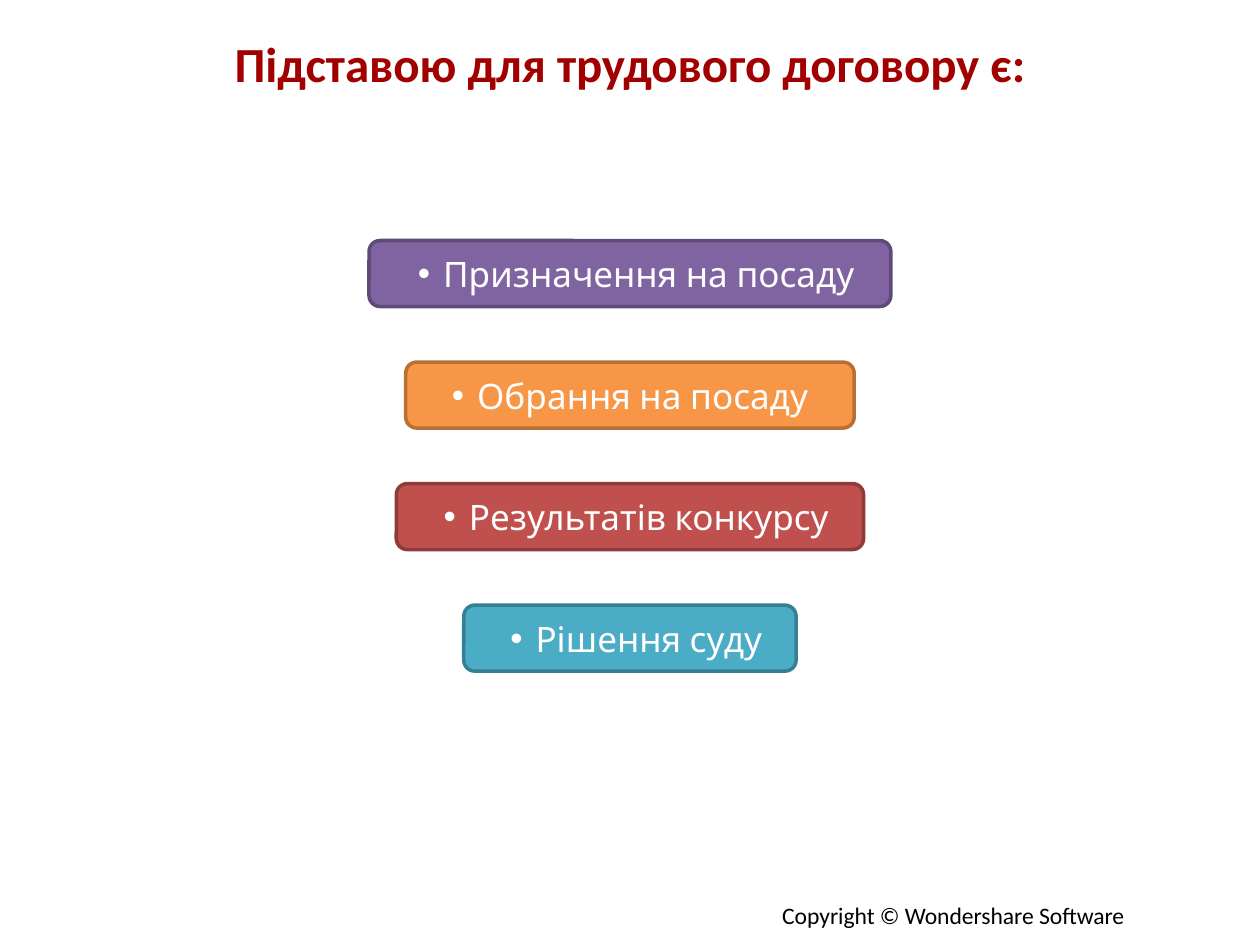
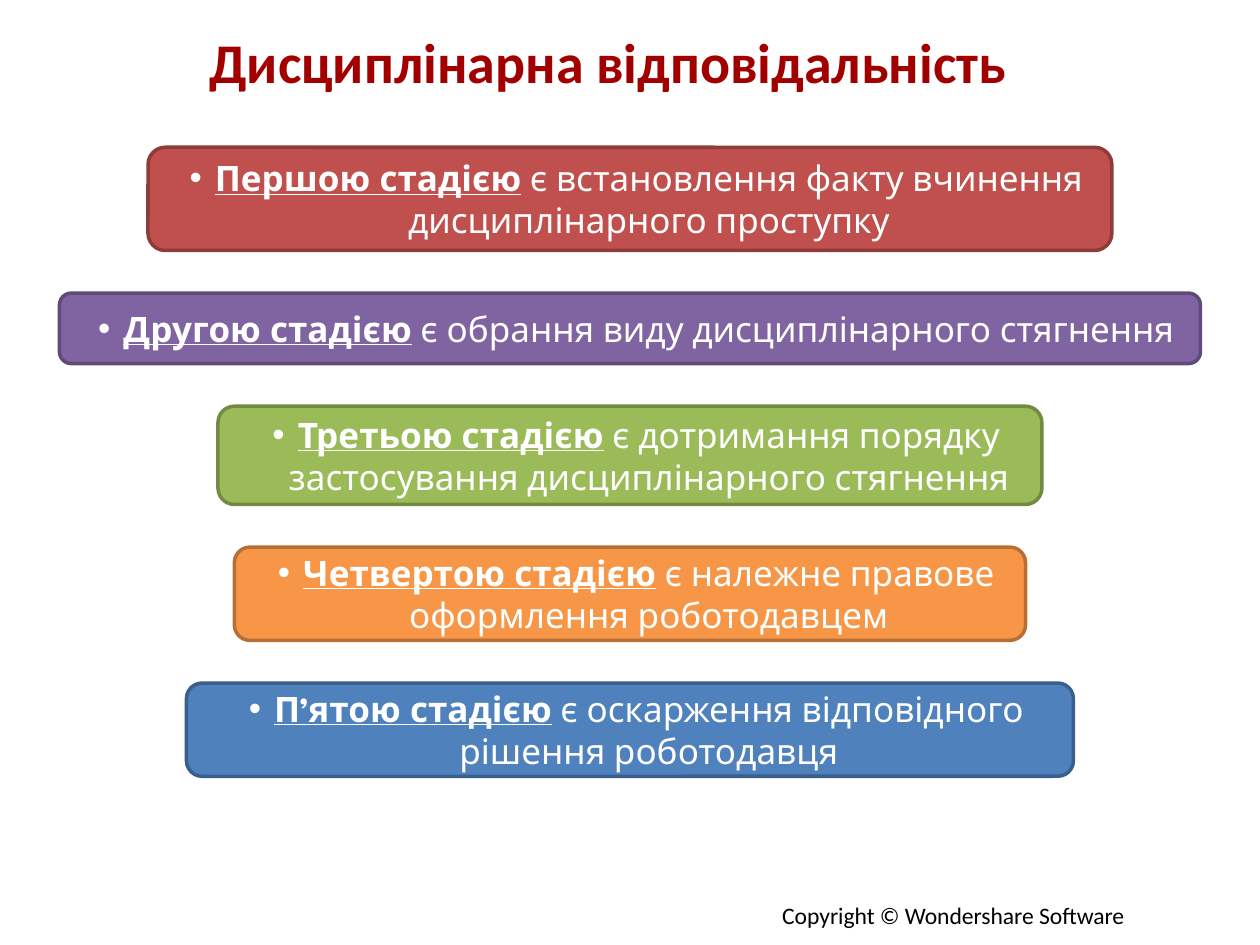
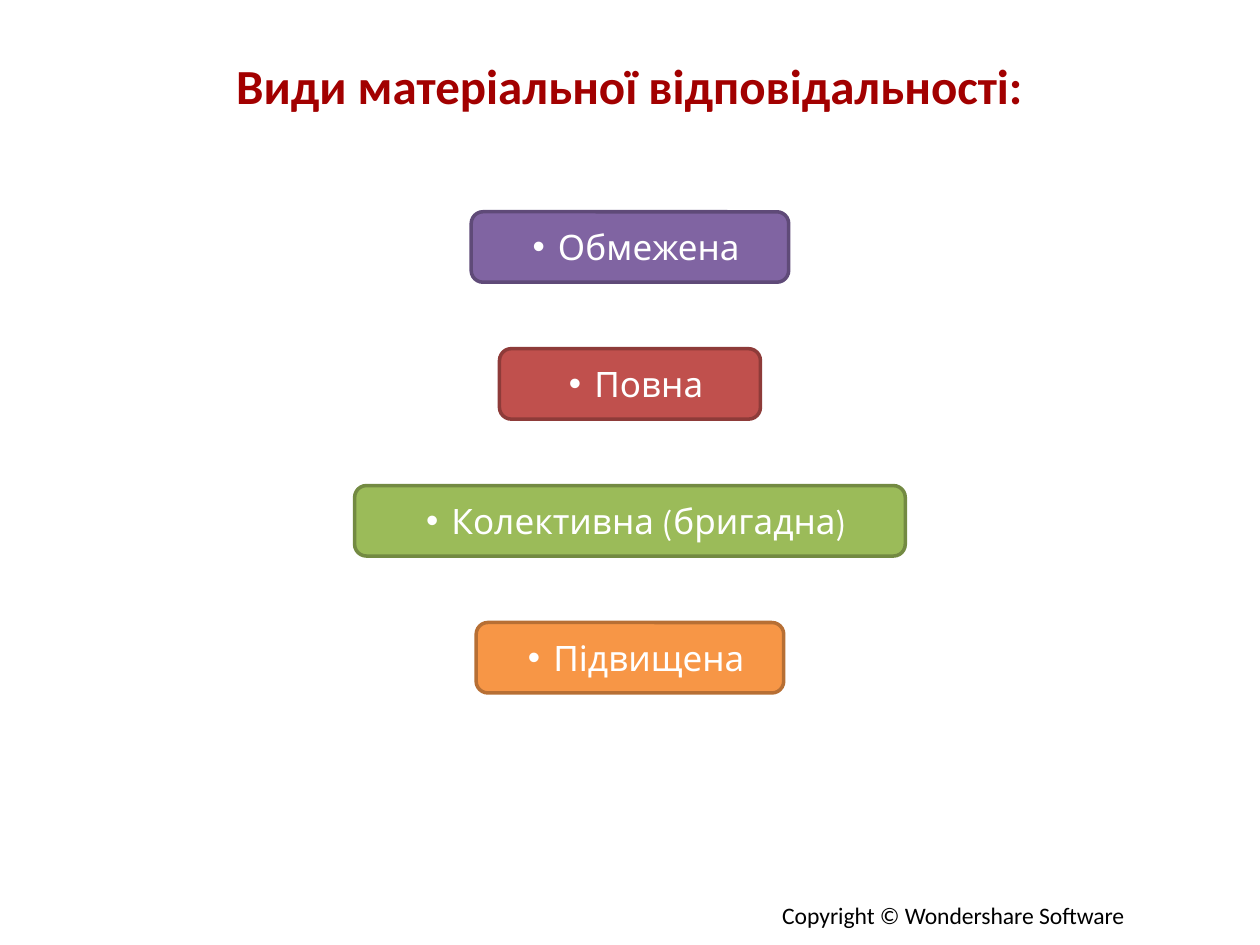
from pptx import Presentation
from pptx.dml.color import RGBColor
from pptx.enum.shapes import MSO_SHAPE
from pptx.enum.text import MSO_ANCHOR, MSO_AUTO_SIZE, PP_ALIGN
from pptx.oxml import parse_xml
from pptx.oxml.ns import nsdecls
from pptx.util import Cm, Pt

TITLE_GRADIENT = f"""<a:gradFill {nsdecls('a')}><a:gsLst>
<a:gs pos="0"><a:srgbClr val="C00000"/></a:gs>
<a:gs pos="43000"><a:srgbClr val="A20000"/></a:gs>
<a:gs pos="100000"><a:srgbClr val="860000"/></a:gs>
</a:gsLst><a:lin ang="5400000" scaled="0"/></a:gradFill>"""
FOOTER = "Copyright © Wondershare Software"
SLIDE_WIDTH = 25.4
TEXT_INDENT = 0.76
BULLET_HANG = 0.51

# Fill and outline of each box colour
PURPLE = ("8064A2", "5F4A78")
ORANGE = ("F79646", "B76F34")
RED = ("C0504D", "8E3B39")
TEAL = ("4BACC6", "377F92")
GREEN = ("9BBB59", "738A42")
BLUE = ("4F81BD", "3A5F8C")

# Each box: colours, width, height, underlined lead, text, left indent
SLIDES = [
    {
        "title": "Підставою для трудового договору є:",
        "title_size": 28,
        "title_place": (2.21, -0.05, 20.98, 2.62),
        "top": 4.85,
        "gap": 1.12,
        "boxes": [
            (PURPLE, 10.52, 1.33, "", "Призначення на посаду", TEXT_INDENT),
            (ORANGE, 9.04, 1.33, "", "Обрання на посаду", BULLET_HANG),
            (RED, 9.42, 1.33, "", "Результатів конкурсу", TEXT_INDENT),
            (TEAL, 6.7, 1.33, "", "Рішення суду", TEXT_INDENT),
        ],
    },
    {
        "title": "Дисциплінарна відповідальність",
        "title_size": 32,
        "title_place": (1.9, 0.36, 20.73, 1.73),
        "top": 2.97,
        "gap": 0.86,
        "boxes": [
            (RED, 19.43, 2.08, "Першою стадією",
             " є встановлення факту вчинення дисциплінарного проступку", TEXT_INDENT),
            (PURPLE, 23, 1.42, "Другою стадією",
             " є обрання виду дисциплінарного стягнення", TEXT_INDENT),
            (GREEN, 16.61, 1.98, "Третьою стадією",
             " є дотримання порядку застосування дисциплінарного стягнення", TEXT_INDENT),
            (ORANGE, 15.95, 1.88, "Четвертою стадією",
             " є належне правове оформлення роботодавцем", TEXT_INDENT),
            (BLUE, 17.88, 1.88, "П’ятою стадією",
             " є оскарження відповідного рішення роботодавця", TEXT_INDENT),
        ],
    },
    {
        "title": "Види матеріальної відповідальності:",
        "title_size": 28,
        "title_place": (2.03, 0.84, 21.31, 1.73),
        "top": 4.27,
        "gap": 1.34,
        "boxes": [
            (PURPLE, 6.4, 1.42, "", "Обмежена", TEXT_INDENT),
            (RED, 5.26, 1.42, "", "Повна", TEXT_INDENT),
            (GREEN, 11.1, 1.42, "", "Колективна (бригадна)", TEXT_INDENT),
            (ORANGE, 6.2, 1.42, "", "Підвищена", TEXT_INDENT),
        ],
    },
]


def color(hex_code):
    return RGBColor.from_string(hex_code)


def add_text(paragraph, text, size, font="Calibri", fill="000000", bold=False, underline=False):
    run = paragraph.add_run()
    run.text = text
    run.font.size = Pt(size)
    run.font.name = font
    run.font.color.rgb = color(fill)
    run.font.bold = bold
    run.font.underline = underline
    return run


presentation = Presentation()
presentation.slide_width = Cm(SLIDE_WIDTH)
presentation.slide_height = Cm(19.05)
title_only_layout = presentation.slide_layouts[5]

for content in SLIDES:
    slide = presentation.slides.add_slide(title_only_layout)

    footer = slide.shapes.add_textbox(Cm(15.52), Cm(18.03), Cm(7.54), Cm(0.84))
    footer.text_frame.word_wrap = False
    footer.text_frame.auto_size = MSO_AUTO_SIZE.SHAPE_TO_FIT_TEXT
    add_text(footer.text_frame.paragraphs[0], FOOTER, 13.5)

    title = slide.shapes.title
    title.left, title.top, title.width, title.height = map(Cm, content["title_place"])
    title.text_frame.vertical_anchor = MSO_ANCHOR.MIDDLE
    title.text_frame.auto_size = MSO_AUTO_SIZE.NONE
    paragraph = title.text_frame.paragraphs[0]
    paragraph.alignment = PP_ALIGN.CENTER
    run = add_text(paragraph, content["title"], content["title_size"], bold=True)
    run.font.fill.background()
    properties = run.font._element
    properties.replace(properties[0], parse_xml(TITLE_GRADIENT))

    top = content["top"]
    for (fill, outline), width, height, lead, text, indent in content["boxes"]:
        box = slide.shapes.add_shape(
            MSO_SHAPE.ROUNDED_RECTANGLE,
            Cm((SLIDE_WIDTH - width) / 2), Cm(top), Cm(width), Cm(height),
        )
        box.shadow.inherit = False
        box.fill.solid()
        box.fill.fore_color.rgb = color(fill)
        box.line.color.rgb = color(outline)
        box.line.width = Pt(2)
        box.text_frame.word_wrap = True
        box.text_frame.vertical_anchor = MSO_ANCHOR.MIDDLE

        paragraph = box.text_frame.paragraphs[0]
        paragraph.alignment = PP_ALIGN.CENTER
        properties = paragraph._p.get_or_add_pPr()
        properties.set("marL", str(Cm(indent)))
        properties.set("indent", str(-Cm(BULLET_HANG)))
        properties.append(parse_xml(f'<a:buFont {nsdecls("a")} typeface="Arial"/>'))
        properties.append(parse_xml(f'<a:buChar {nsdecls("a")} char="•"/>'))
        if lead:
            add_text(paragraph, lead, 20, font="League Spartan", fill="FFFFFF",
                     bold=True, underline=True)
        add_text(paragraph, text, 20, font="League Spartan", fill="FFFFFF")
        top += height + content["gap"]

presentation.save("out.pptx")
